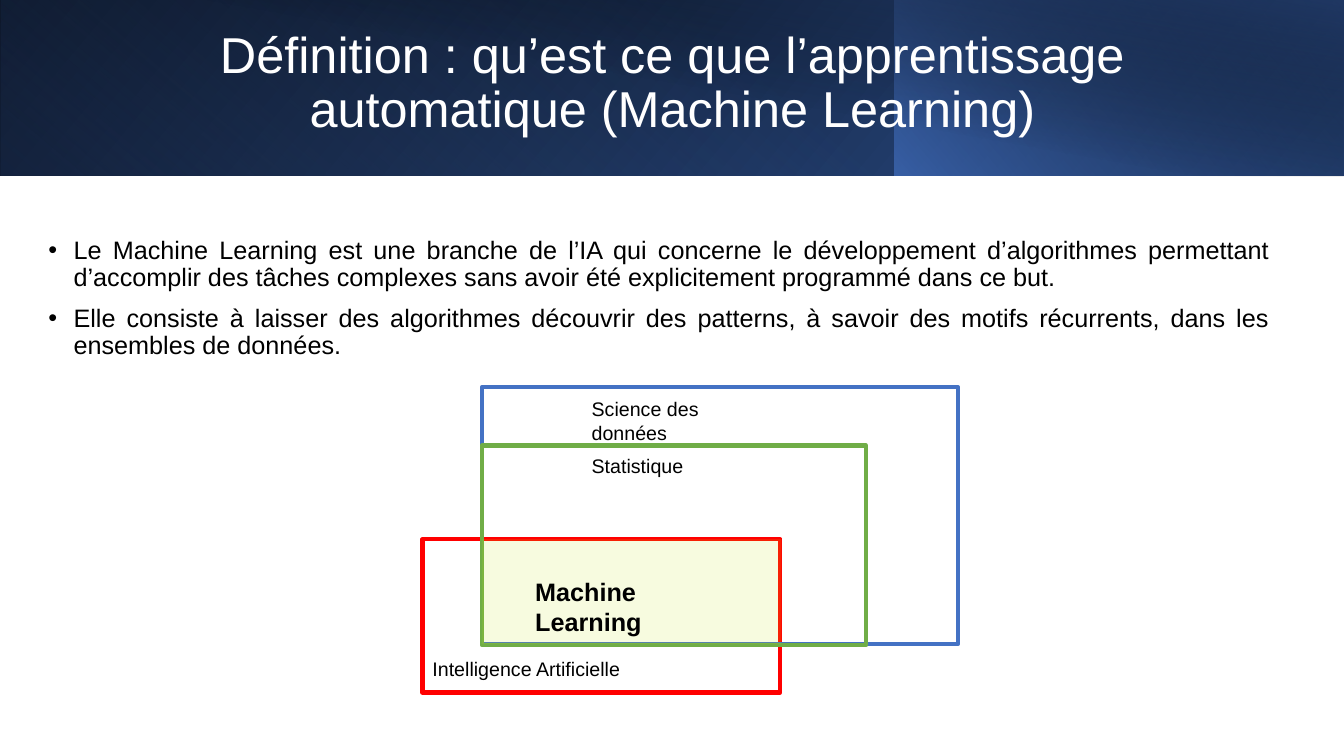
from lxml import etree
from pptx import Presentation
from pptx.dml.color import RGBColor
from pptx.enum.shapes import MSO_SHAPE as SHAPE
from pptx.enum.text import MSO_ANCHOR as ANCHOR, MSO_AUTO_SIZE as AUTO, PP_ALIGN as ALIGN
from pptx.oxml.ns import qn
from pptx.util import Inches, Pt

FONT = "Arial"
BLACK = RGBColor(0x00, 0x00, 0x00)
WHITE = RGBColor(0xFF, 0xFF, 0xFF)
RED = RGBColor(0xFF, 0x00, 0x00)
BLUE = RGBColor(0x44, 0x72, 0xC4)
MID_BLUE = RGBColor(0x2F, 0x55, 0x97)
NAVY = RGBColor(0x20, 0x38, 0x64)
GREEN = RGBColor(0x70, 0xAD, 0x47)
LIME = RGBColor(0xC9, 0xE5, 0x23)

TITLE = "Définition : qu’est ce que l’apprentissage automatique (Machine Learning)"
BULLETS = [
    "Le Machine Learning est une branche de l’IA qui concerne le développement "
    "d’algorithmes permettant d’accomplir des tâches complexes sans avoir été "
    "explicitement programmé dans ce but.",
    "Elle consiste à laisser des algorithmes découvrir des patterns, à savoir "
    "des motifs récurrents, dans les ensembles de données.",
]
BANNER = [
    ((0, 0, 13.33, 1.74), 0, True, 140, [(0, BLACK, 100), (100, MID_BLUE, 100)]),
    ((0, 0, 8.88, 1.74), 180, True, 230, [(20, BLUE, 0), (100, NAVY, 55)]),
    ((8.87, 0, 4.46, 1.74), 0, True, 220, [(0, BLUE, 66), (100, BLACK, 30)]),
    ((0.5, 0, 12.83, 1.75), 0, False, 280, [(50, BLACK, 0), (99, NAVY, 52)]),
]
FIELDS = [
    ((4.19, 5.35, 3.55, 1.52), RED),
    ((4.78, 3.84, 4.72, 2.55), BLUE),
    ((4.78, 4.42, 3.81, 1.98), GREEN),
]
OVERLAP = (4.78, 5.35, 2.97, 1.04)
LABELS = [
    ("Science des données", (5.77, 3.89, 2.06, 0.34), 14, False),
    ("Statistique", (5.77, 4.45, 1.44, 0.34), 14, False),
    ("Machine Learning", (5.21, 5.67, 2.09, 0.4), 18, True),
    ("Intelligence Artificielle", (4.19, 6.47, 2.18, 0.34), 14, False),
]


def add_rect(slide, box):
    """Add a plain rectangle without fill, line or shadow."""
    sp = slide.shapes.add_shape(SHAPE.RECTANGLE, *map(Inches, box))
    sp.shadow.inherit = False
    sp.fill.background()
    sp.line.fill.background()
    return sp


def set_opacity(color, percent):
    """Give a colour element an opacity."""
    etree.SubElement(color, qn("a:alpha")).set("val", str(percent * 1000))


def add_gradient(slide, box, rotation, flipped, angle, stops):
    """Add a rectangle filled with a linear gradient."""
    sp = add_rect(slide, box)
    sp.rotation = rotation
    if flipped:
        sp.element.spPr.xfrm.set("flipH", "1")
    grad = etree.Element(qn("a:gradFill"), rotWithShape="1")
    stop_list = etree.SubElement(grad, qn("a:gsLst"))
    for position, color, opacity in stops:
        stop = etree.SubElement(stop_list, qn("a:gs"), pos=str(position * 1000))
        set_opacity(etree.SubElement(stop, qn("a:srgbClr"), val=str(color)), opacity)
    etree.SubElement(grad, qn("a:lin"), ang=str(angle * 60000), scaled="0")
    spPr = sp.element.spPr
    spPr.replace(spPr.find(qn("a:noFill")), grad)


def add_outline(slide, box, color):
    """Add an outlined rectangle for one field."""
    sp = add_rect(slide, box)
    sp.line.color.rgb = color
    sp.line.width = Pt(3)


def add_overlap(slide, box):
    """Add the tinted area shared by the fields."""
    sp = add_rect(slide, box)
    sp.fill.solid()
    sp.fill.fore_color.rgb = LIME
    set_opacity(sp.element.spPr.find(qn("a:solidFill"))[0], 14)


def format_font(p, size, color=BLACK, bold=False):
    """Format the runs of a paragraph."""
    for r in p.runs:
        r.font.name = FONT
        r.font.size = Pt(size)
        r.font.bold = bold
        r.font.color.rgb = color


def add_label(slide, text, box, size, bold):
    """Add a text box naming a field."""
    sp = slide.shapes.add_textbox(*map(Inches, box))
    tf = sp.text_frame
    tf.word_wrap = True
    tf.auto_size = AUTO.SHAPE_TO_FIT_TEXT
    tf.text = text
    format_font(tf.paragraphs[0], size, bold=bold)


def place(sp, box):
    """Move a placeholder and centre its text vertically."""
    sp.left, sp.top, sp.width, sp.height = map(Inches, box)
    tf = sp.text_frame
    tf.word_wrap = True
    tf.auto_size = AUTO.NONE
    tf.vertical_anchor = ANCHOR.MIDDLE
    return tf


def fill_title(sp):
    """Write the title."""
    tf = place(sp, (1.1, 0.27, 11.14, 1.13))
    tf.text = TITLE
    p = tf.paragraphs[0]
    p.alignment = ALIGN.CENTER
    p.line_spacing = 0.9
    format_font(p, 36, WHITE)


def fill_body(sp):
    """Write the bulleted definition."""
    tf = place(sp, (0.38, 0.95, 12.31, 4.03))
    tf.text = "\n".join(BULLETS)
    for i, p in enumerate(tf.paragraphs):
        pPr = p._p.get_or_add_pPr()
        pPr.set("marL", str(Inches(0.25)))
        pPr.set("indent", str(Inches(-0.25)))
        etree.SubElement(pPr, qn("a:buFont"), typeface=FONT)
        etree.SubElement(pPr, qn("a:buChar"), char="•")
        p.alignment = ALIGN.JUSTIFY
        p.line_spacing = 0.9
        p.space_before = Pt(10 if i else 0)
        format_font(p, 18)


def main():
    """Build the slide and save it."""
    prs = Presentation()
    prs.slide_width, prs.slide_height = Inches(13.33), Inches(7.5)
    s = prs.slides.add_slide(prs.slide_layouts[1])
    title, body = s.placeholders
    for band in BANNER:
        add_gradient(s, *band)
    for sp in (title, body):
        s.shapes.element.append(sp.element)
    fill_title(title)
    fill_body(body)
    for field in FIELDS:
        add_outline(s, *field)
    add_overlap(s, OVERLAP)
    for label in LABELS:
        add_label(s, *label)
    prs.save("out.pptx")


if __name__ == "__main__":
    main()
